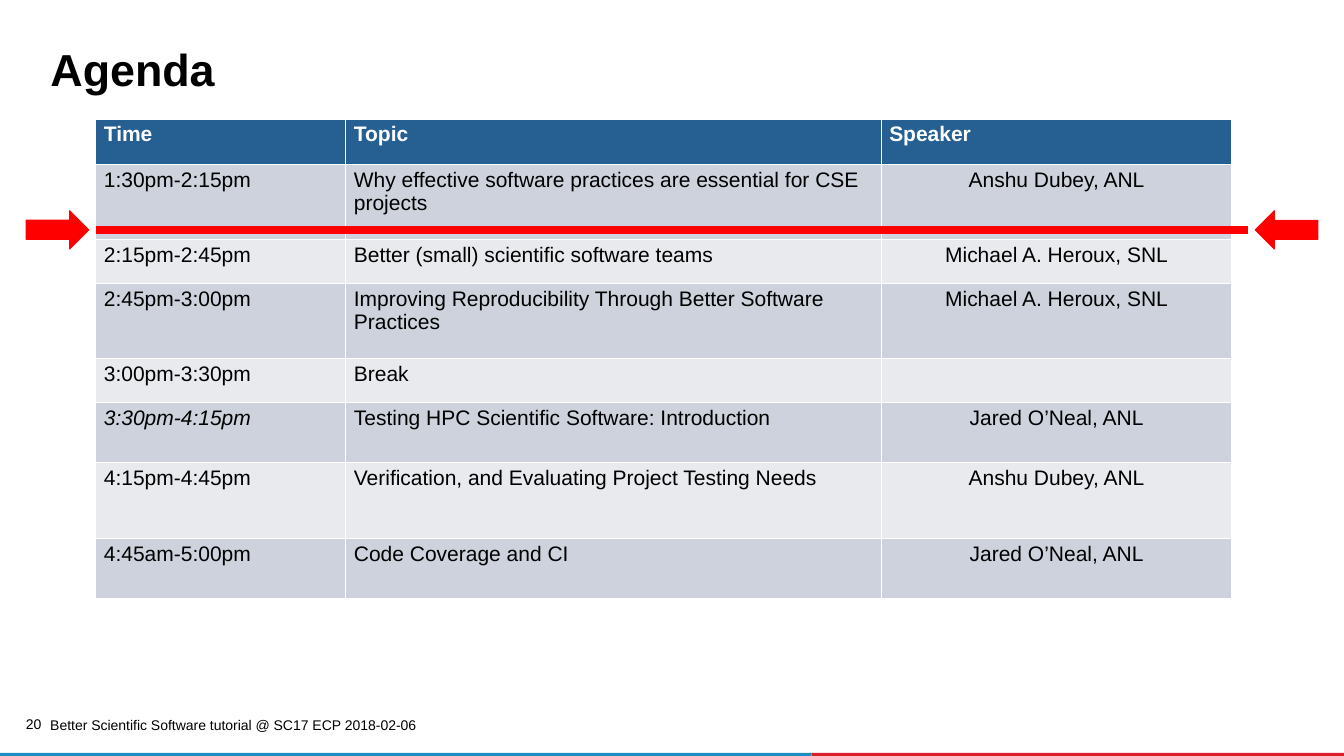
from pptx import Presentation
from pptx.dml.color import RGBColor
from pptx.enum import shapes, text
from pptx.oxml.ns import qn
from pptx.util import Inches, Pt
from lxml import etree

# Content
TITLE = "Agenda"
FOOTER = "Better Scientific Software tutorial @ SC17 ECP 2018-02-06"
PAGE = "20"
HEAD = ("Time", "Topic", "Speaker")
TALKS = [
    ("1:30pm-2:15pm", "Why effective software practices are essential for CSE projects",
     "Anshu Dubey, ANL"),
    ("2:15pm-2:45pm", "Better (small) scientific software teams", "Michael A. Heroux, SNL"),
    ("2:45pm-3:00pm", "Improving Reproducibility Through Better Software Practices",
     "Michael A. Heroux, SNL"),
    ("3:00pm-3:30pm", "Break", ""),
    ("3:30pm-4:15pm", "Testing HPC Scientific Software: Introduction", "Jared O’Neal, ANL"),
    ("4:15pm-4:45pm", "Verification, and Evaluating Project Testing Needs", "Anshu Dubey, ANL"),
    ("4:45am-5:00pm", "Code Coverage and CI", "Jared O’Neal, ANL"),
]
ITALIC = "3:30pm-4:15pm"

# Look and layout, in inches
COLORS = {"head": "266092", "odd": "CDD2DC", "even": "E8EAEE", "mark": "FF0000",
          "blue": "1B8DC3", "red": "DA1F28", "ink": "000000", "paper": "FFFFFF"}
WIDE, HIGH = 13.33, 7.5
COLS = (2.48, 5.31, 3.48)
ROWS = (0.45, 0.75, 0.43, 0.75, 0.43, 0.6, 0.75, 0.6)
LEFT, TOP = 0.95, 1.18
SPLIT, BAR = 8.05, 0.03
MARK_Y, MARK_END = 2.28, 12.38
ARROW_W, ARROW_H = 0.62, 0.38
ALIGN = text.PP_ALIGN

prs = Presentation()
prs.slide_width, prs.slide_height = Inches(WIDE), Inches(HIGH)
slide = prs.slides.add_slide(prs.slide_layouts[5])
items = slide.shapes


def color(name):
    return RGBColor.from_string(COLORS[name])


def box(*lengths):
    return [Inches(n) for n in lengths]


def write(frame, words, size, ink="ink", bold=False, italic=False, align=ALIGN.LEFT):
    frame.text = words
    para = frame.paragraphs[0]
    para.alignment = align
    font = para.font
    font.name, font.size, font.bold, font.italic = "Arial", Pt(size), bold, italic
    font.color.rgb = color(ink)
    return para


def block(kind, place, name):
    shape = items.add_shape(kind, *box(*place))
    shape.shadow.inherit = False
    shape.fill.solid()
    shape.fill.fore_color.rgb = color(name)
    shape.line.fill.background()
    return shape


# Bottom stripe
for x, end, name in ((SPLIT, WIDE, "red"), (0, SPLIT, "blue")):
    block(shapes.MSO_SHAPE.RECTANGLE, (x, HIGH - BAR, end - x, BAR), name)

# Footer and page number
foot = items.add_textbox(*box(0.4, 7.08, 4.1, 0.22)).text_frame
foot.word_wrap = True
foot.vertical_anchor = text.MSO_ANCHOR.MIDDLE
write(foot, FOOTER, 10)
page = items.add_textbox(*box(0.18, 7.12, 0.23, 0.17)).text_frame
page.margin_left = page.margin_right = page.margin_top = page.margin_bottom = 0
write(page, PAGE, 10, align=ALIGN.RIGHT).line_spacing = 0.9

# Title
title = items.title
title.left, title.top, title.width, title.height = box(0.4, 0.45, 12.44, 0.56)
title.text_frame.vertical_anchor = text.MSO_ANCHOR.TOP
write(title.text_frame, TITLE, 32, bold=True).line_spacing = 0.85

# Agenda table
table = items.add_table(len(ROWS), len(COLS), *box(LEFT, TOP, sum(COLS), sum(ROWS))).table
for col, width in zip(table.columns, COLS):
    col.width = Inches(width)
for r, (height, talk) in enumerate(zip(ROWS, [HEAD] + TALKS)):
    table.rows[r].height = Inches(height)
    top = r == 0
    for c, words in enumerate(talk):
        cell = table.cell(r, c)
        cell.margin_left = cell.margin_right = Inches(0.08)
        cell.margin_top = cell.margin_bottom = Inches(0.04)
        cell.fill.solid()
        cell.fill.fore_color.rgb = color("head" if top else "odd" if r % 2 else "even")
        write(cell.text_frame, words, 15, "paper" if top else "ink", top, words == ITALIC,
              ALIGN.CENTER if c == 2 and not top else ALIGN.LEFT)

# Progress line with an arrow at each end
line = items.add_connector(shapes.MSO_CONNECTOR.STRAIGHT,
                           *box(LEFT, MARK_Y, MARK_END, MARK_Y))
line.line.width = Pt(6)
line.line.color.rgb = color("mark")
etree.SubElement(line._element.spPr, qn("a:effectLst"))
for x, turn in ((0.26, 0), (12.45, 180)):
    arrow = block(shapes.MSO_SHAPE.RIGHT_ARROW,
                  (x, MARK_Y - ARROW_H / 2, ARROW_W, ARROW_H), "mark")
    arrow.rotation = turn
    arrow.line.color.rgb = color("mark")
    arrow.line.width = Pt(0.75)

prs.save("out.pptx")
